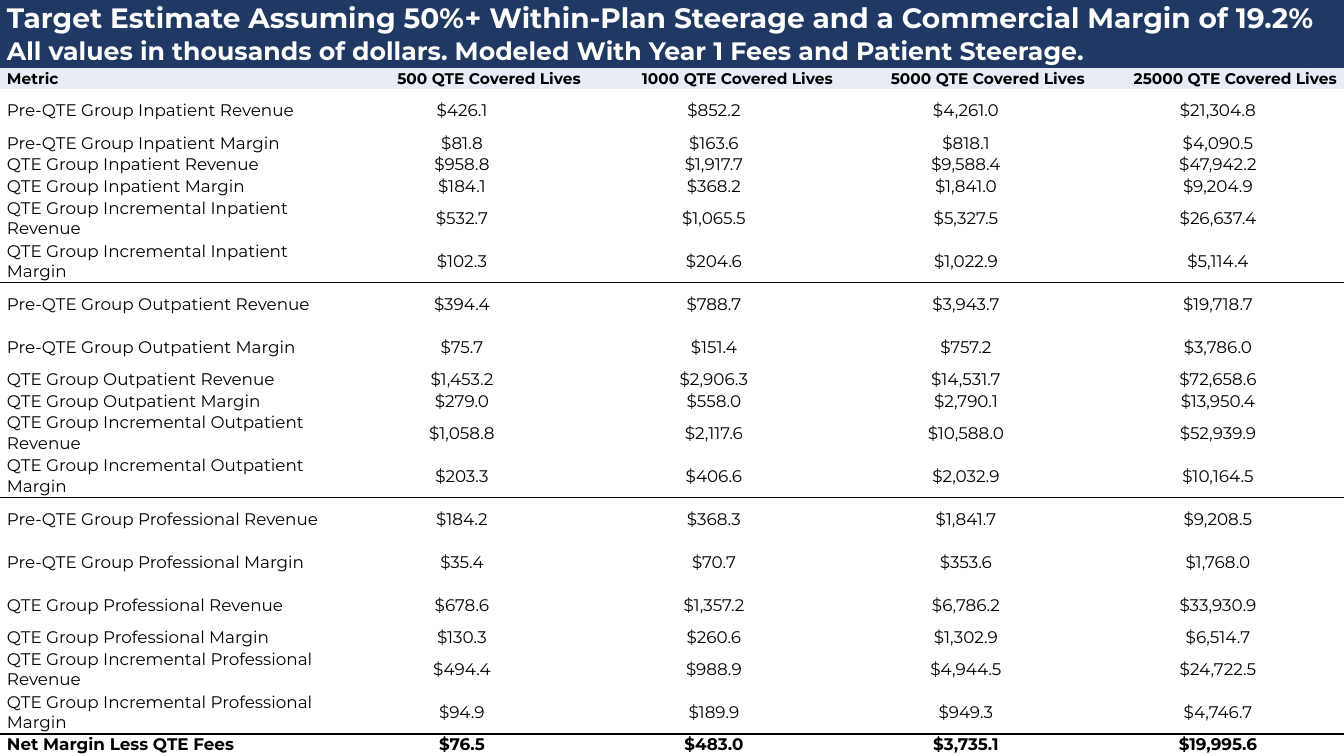
from dataclasses import dataclass
from lxml import etree
from pptx import Presentation
from pptx.dml.color import RGBColor as RGB
from pptx.enum.text import MSO_ANCHOR as Anchor, PP_ALIGN as Align
from pptx.oxml.ns import qn
from pptx.util import Pt


@dataclass(frozen=True)
class Theme:
    font: str = "Montserrat"
    navy: RGB = RGB(0x20, 0x38, 0x64)
    pale: RGB = RGB(0xE7, 0xEC, 0xF5)
    white: RGB = RGB(0xFF, 0xFF, 0xFF)
    black: RGB = RGB(0, 0, 0)
    title: int = 20
    subtitle: int = 18
    header: int = 11
    body: int = 12


theme = Theme()
NO_STYLE = "{2D5ABB26-0587-4C30-8999-92F81FD0307C}"
SHORT, TALL = 15.36, 30.72
MARGIN = Pt(5)

title = "Target Estimate Assuming 50%+ Within-Plan Steerage and a Commercial Margin of 19.2%"
subtitle = "All values in thousands of dollars. Modeled With Year 1 Fees and Patient Steerage."
header = ["Metric", "500 QTE Covered Lives", "1000 QTE Covered Lives",
          "5000 QTE Covered Lives", "25000 QTE Covered Lives"]

# Row height, then metric and its four values
care_groups = [
    [
        (TALL, "Pre-QTE Group Inpatient Revenue", "$426.1", "$852.2", "$4,261.0", "$21,304.8"),
        (SHORT, "Pre-QTE Group Inpatient Margin", "$81.8", "$163.6", "$818.1", "$4,090.5"),
        (SHORT, "QTE Group Inpatient Revenue", "$958.8", "$1,917.7", "$9,588.4", "$47,942.2"),
        (SHORT, "QTE Group Inpatient Margin", "$184.1", "$368.2", "$1,841.0", "$9,204.9"),
        (TALL, "QTE Group Incremental Inpatient Revenue", "$532.7", "$1,065.5", "$5,327.5", "$26,637.4"),
        (TALL, "QTE Group Incremental Inpatient Margin", "$102.3", "$204.6", "$1,022.9", "$5,114.4"),
    ],
    [
        (TALL, "Pre-QTE Group Outpatient Revenue", "$394.4", "$788.7", "$3,943.7", "$19,718.7"),
        (TALL, "Pre-QTE Group Outpatient Margin", "$75.7", "$151.4", "$757.2", "$3,786.0"),
        (SHORT, "QTE Group Outpatient Revenue", "$1,453.2", "$2,906.3", "$14,531.7", "$72,658.6"),
        (SHORT, "QTE Group Outpatient Margin", "$279.0", "$558.0", "$2,790.1", "$13,950.4"),
        (TALL, "QTE Group Incremental Outpatient Revenue", "$1,058.8", "$2,117.6", "$10,588.0", "$52,939.9"),
        (TALL, "QTE Group Incremental Outpatient Margin", "$203.3", "$406.6", "$2,032.9", "$10,164.5"),
    ],
    [
        (TALL, "Pre-QTE Group Professional Revenue", "$184.2", "$368.3", "$1,841.7", "$9,208.5"),
        (TALL, "Pre-QTE Group Professional Margin", "$35.4", "$70.7", "$353.6", "$1,768.0"),
        (TALL, "QTE Group Professional Revenue", "$678.6", "$1,357.2", "$6,786.2", "$33,930.9"),
        (SHORT, "QTE Group Professional Margin", "$130.3", "$260.6", "$1,302.9", "$6,514.7"),
        (TALL, "QTE Group Incremental Professional Revenue", "$494.4", "$988.9", "$4,944.5", "$24,722.5"),
        (TALL, "QTE Group Incremental Professional Margin", "$94.9", "$189.9", "$949.3", "$4,746.7"),
    ],
]
net_margin = (SHORT, "Net Margin Less QTE Fees", "$76.5", "$483.0", "$3,735.1", "$19,995.6")


def fill_cell(cell, text, size, color, bold, align, fill=None):
    cell.margin_left = cell.margin_right = cell.margin_top = cell.margin_bottom = 0
    cell.vertical_anchor = Anchor.MIDDLE
    if fill is None:
        cell.fill.background()
    else:
        cell.fill.solid()
        cell.fill.fore_color.rgb = fill
    cell.text = text
    paragraph = cell.text_frame.paragraphs[0]
    paragraph.alignment = align
    properties = paragraph._p.get_or_add_pPr()
    for side in ("marL", "marR"):
        properties.set(side, str(MARGIN))
    properties.set("indent", "0")
    font = paragraph.font
    font.name, font.size, font.bold = theme.font, Pt(size), bold
    font.color.rgb = color


def rule_cell(cell, edge, visible=True):
    line = etree.Element(qn(f"a:{edge}"), w=str(Pt(1)))
    if visible:
        solid = etree.SubElement(line, qn("a:solidFill"))
        etree.SubElement(solid, qn("a:srgbClr"), val=str(theme.black))
    else:
        etree.SubElement(line, qn("a:noFill"))
    cell._tc.get_or_add_tcPr().insert(0, line)


deck = Presentation()
deck.slide_width, deck.slide_height = Pt(960), Pt(540)
slide = deck.slides.add_slide(deck.slide_layouts[6])

# Table frame
body = [row for group in care_groups for row in group] + [net_margin]
heights = [25.7, 22.9, SHORT] + [row[0] for row in body]
estimate = slide.shapes.add_table(len(heights), len(header), 0, 0, Pt(960), Pt(540)).table
estimate.first_row = estimate.horz_banding = False
estimate._tbl.tblPr.find(qn("a:tableStyleId")).text = NO_STYLE
for column, width in zip(estimate.columns, [240] + [180] * 4):
    column.width = Pt(width)
for row, height in zip(estimate.rows, heights):
    row.height = Pt(height)

# Title bands
for r, (text, size) in enumerate([(title, theme.title), (subtitle, theme.subtitle)]):
    estimate.cell(r, 0).merge(estimate.cell(r, len(header) - 1))
    fill_cell(estimate.cell(r, 0), text, size, theme.white, True, Align.LEFT, theme.navy)

# Column headings
for c, heading in enumerate(header):
    fill_cell(estimate.cell(2, c), heading, theme.header, theme.black, True,
              Align.RIGHT if c else Align.LEFT, theme.pale)

# Metrics and values
for r, (_, *entries) in enumerate(body, start=3):
    for c, entry in enumerate(entries):
        fill_cell(estimate.cell(r, c), entry, theme.body, theme.black, r == len(heights) - 1,
                  Align.CENTER if c else Align.LEFT)

# Rules below each care group; the next row keeps its lower edge clear
last_row = 2
for group in care_groups:
    last_row += len(group)
    for c in range(len(header)):
        rule_cell(estimate.cell(last_row, c), "lnB")
        rule_cell(estimate.cell(last_row + 1, c), "lnB", visible=False)
        rule_cell(estimate.cell(last_row + 1, c), "lnT")

deck.save("out.pptx")
